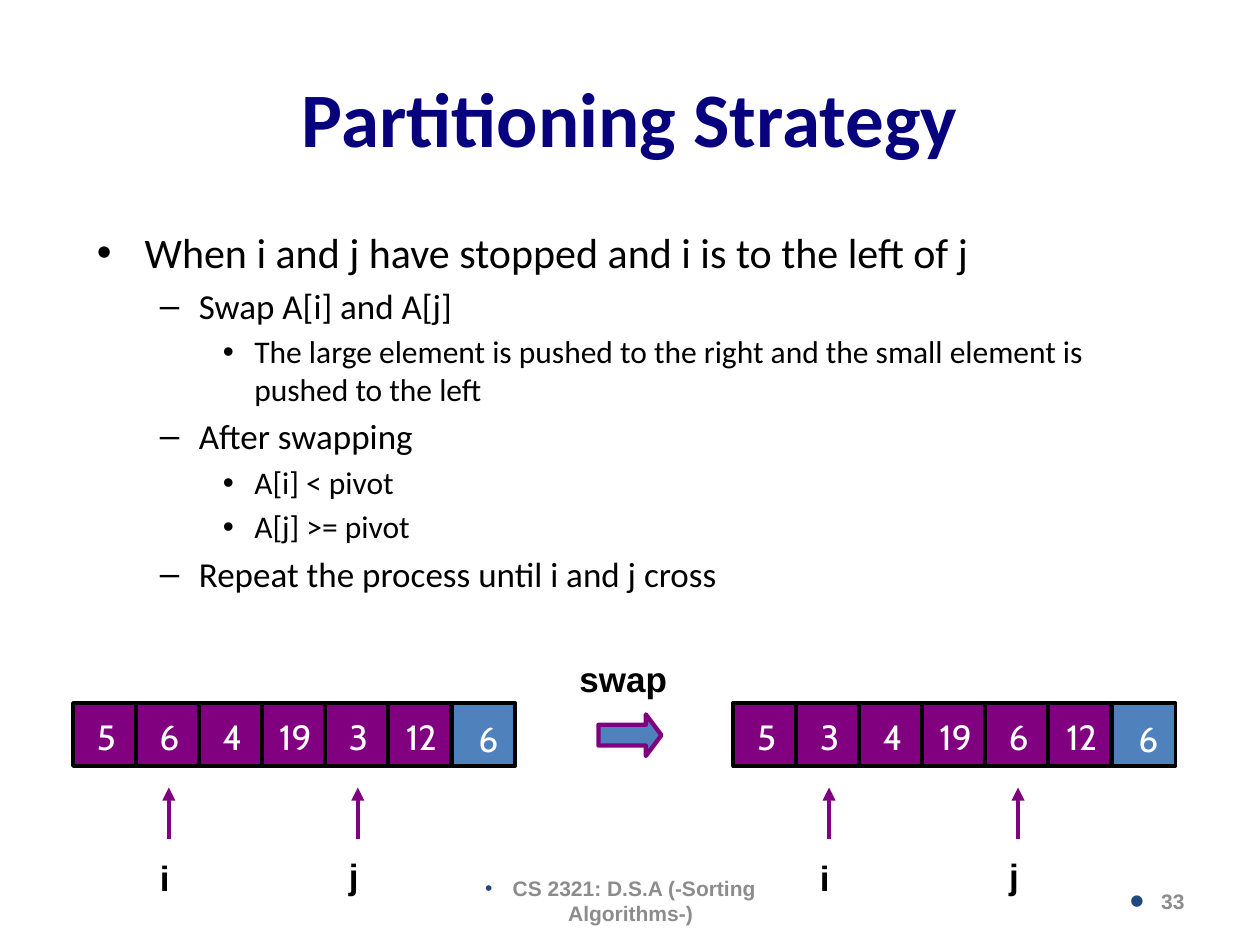
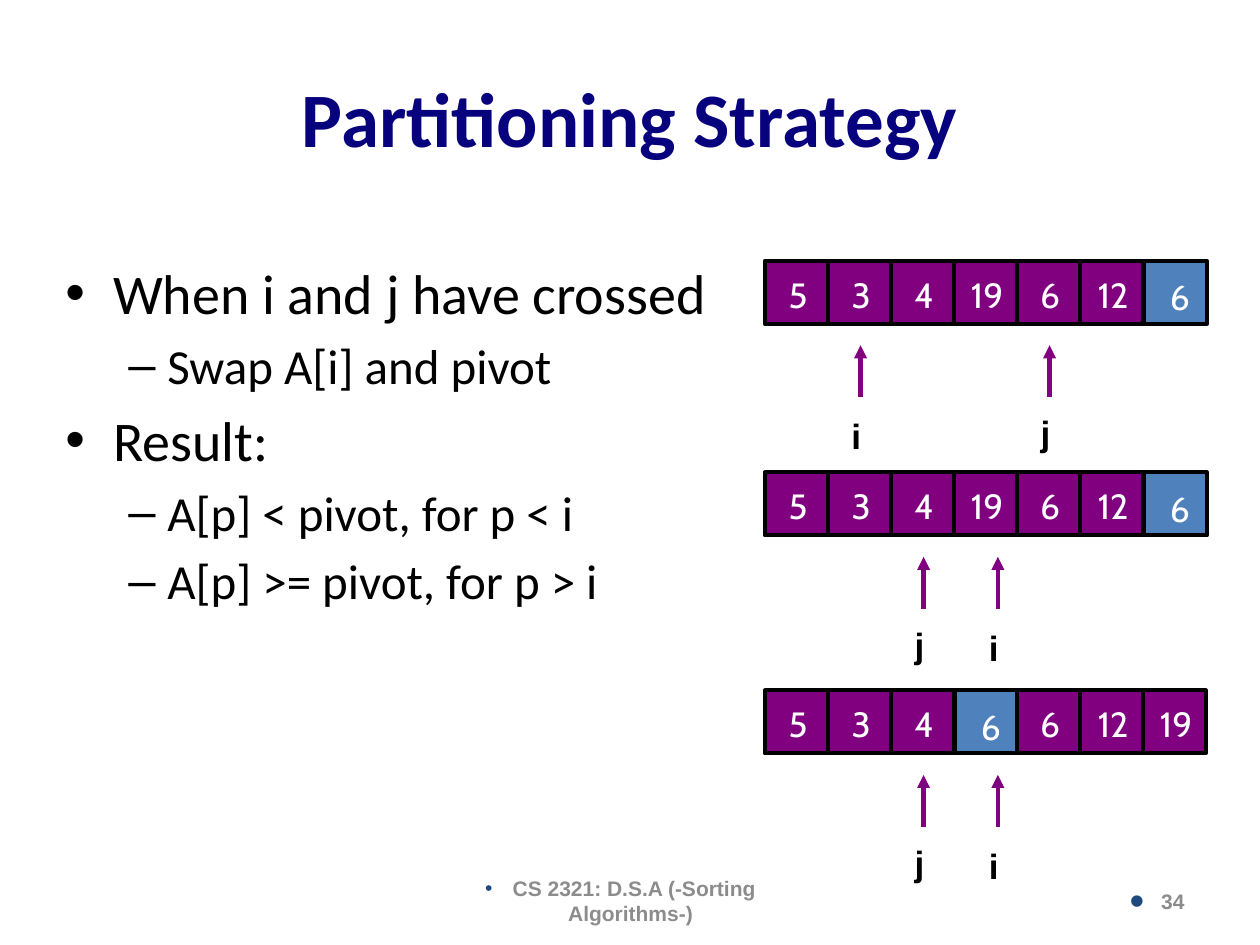
from lxml import etree
from pptx import Presentation
from pptx.dml.color import RGBColor
from pptx.enum import shapes, text
from pptx.oxml import ns
from pptx.util import Inches, Pt

NAVY = RGBColor(0x07, 0x01, 0x7D)
PURPLE = RGBColor(0x80, 0x00, 0x80)
BLUE = RGBColor(0x4F, 0x81, 0xBD)
BULLET_BLUE = RGBColor(0x1F, 0x49, 0x7D)
GREY = RGBColor(0x8C, 0x8C, 0x8C)
BLACK = RGBColor(0, 0, 0)
WHITE = RGBColor(0xFF, 0xFF, 0xFF)

TITLE = "Partitioning Strategy"
FOOTER = "CS 2321: D.S.A (-Sorting Algorithms-)"
CELL = 0.5

# bullets: (level, text); rows: left, top, values, pivot index, pointer -> cell position
SLIDES = [
    {
        "number": 33,
        "body": (0.67, 1.75, 8.58, 3.33),
        "sizes": (24, 20, 18),
        "bullets": [
            (0, "When i and j have stopped and i is to the left of j"),
            (1, "Swap A[i] and A[j]"),
            (2, "The large element is pushed to the right and the small element is pushed to the left"),
            (1, "After swapping"),
            (2, "A[i] < pivot"),
            (2, "A[j] >= pivot"),
            (1, "Repeat the process until i and j cross"),
        ],
        "rows": [
            (0.58, 5.58, (5, 6, 4, 19, 3, 12, 6), 6, {"i": 1, "j": 4}),
            (5.82, 5.58, (5, 3, 4, 19, 6, 12, 6), 6, {"i": 1, "j": 4}),
        ],
        "swap": True,
    },
    {
        "number": 34,
        "body": (0.42, 2, 5.33, 4.5),
        "sizes": (32, 28),
        "bullets": [
            (0, "When i and j have crossed"),
            (1, "Swap A[i] and pivot"),
            (0, "Result:"),
            (1, "A[p] < pivot, for p < i"),
            (1, "A[p] >= pivot, for p > i"),
        ],
        "rows": [
            (6.07, 2.07, (5, 3, 4, 19, 6, 12, 6), 6, {"i": 1, "j": 4}),
            (6.07, 3.75, (5, 3, 4, 19, 6, 12, 6), 6, {"i": 3.18, "j": 2}),
            (6.07, 5.48, (5, 3, 4, 6, 6, 12, 19), 3, {"i": 3.18, "j": 2}),
        ],
        "swap": False,
    },
]
LEVELS = [(0.38, -0.38, "•"), (0.81, -0.31, "–"), (1.25, -0.25, "•")]
POINTER_LABELS = {"i": (1.17, 0.33), "j": (1.15, 0.42)}  # drop below row top, width


def write(paragraph, words, size=20, font="Arial", color=BLACK, bold=False,
          align=text.PP_ALIGN.LEFT):
    paragraph.alignment = align
    run = paragraph.add_run()
    run.text = str(words)
    run.font.size, run.font.name, run.font.bold = Pt(size), font, bold
    run.font.color.rgb = color


def add_bullet(paragraph, margin, indent, char, color=None, percent=100):
    props = paragraph._p.get_or_add_pPr()
    props.set("marL", str(Inches(margin)))
    props.set("indent", str(Inches(indent)))
    if color is not None:
        holder = etree.SubElement(props, ns.qn("a:buClr"))
        etree.SubElement(holder, ns.qn("a:srgbClr"), val=str(color))
    etree.SubElement(props, ns.qn("a:buSzPct"), val=str(percent * 1000))
    etree.SubElement(props, ns.qn("a:buFont"), typeface="Arial")
    etree.SubElement(props, ns.qn("a:buChar"), char=char)


def add_box(slide, *place, anchor=text.MSO_ANCHOR.TOP):
    frame = slide.shapes.add_textbox(*map(Inches, place)).text_frame
    frame.word_wrap = True
    frame.vertical_anchor = anchor
    return frame


def add_filled(slide, kind, place, fill, line, width):
    shape = slide.shapes.add_shape(kind, *map(Inches, place))
    shape.shadow.inherit = False
    shape.fill.solid()
    shape.fill.fore_color.rgb = fill
    shape.line.color.rgb = line
    shape.line.width = Pt(width)
    return shape


def add_title(slide):
    title = slide.shapes.title
    title.left, title.top, title.width, title.height = map(Inches, (0.5, 0.3, 9, 1.25))
    title.text_frame.vertical_anchor = text.MSO_ANCHOR.MIDDLE
    write(title.text_frame.paragraphs[0], TITLE, size=44, font="Calibri", color=NAVY,
          bold=True, align=text.PP_ALIGN.CENTER)


def add_body(slide, place, sizes, bullets):
    frame = add_box(slide, *place)
    for index, (level, words) in enumerate(bullets):
        paragraph = frame.add_paragraph() if index else frame.paragraphs[0]
        paragraph.level = level
        add_bullet(paragraph, *LEVELS[level])
        if index:
            paragraph.space_before = Pt(sizes[level] * 0.2)
        write(paragraph, words, size=sizes[level], font="Calibri")


def add_cell(slide, left, top, value, is_pivot):
    """Draw one array cell; the pivot is blue and its value sits lower and to the right."""
    cell = add_filled(slide, shapes.MSO_SHAPE.RECTANGLE, (left, top, CELL, CELL),
                      BLUE if is_pivot else PURPLE, BLACK, 2.25)
    frame = cell.text_frame
    frame.word_wrap = False
    frame.vertical_anchor = text.MSO_ANCHOR.MIDDLE
    frame.margin_left = frame.margin_top = Inches(0.07 if is_pivot else 0.03)
    frame.margin_right = frame.margin_bottom = 0
    write(frame.paragraphs[0], value, font="Cabin", color=WHITE, align=text.PP_ALIGN.CENTER)


def add_pointer(slide, x, row_top, name):
    arrow = slide.shapes.add_connector(
        shapes.MSO_CONNECTOR.STRAIGHT,
        *map(Inches, (x, row_top + 1.08, x, row_top + 0.67)))
    arrow.line.color.rgb = PURPLE
    arrow.line.width = Pt(2.5)
    etree.SubElement(arrow.line._get_or_add_ln(), ns.qn("a:tailEnd"), type="triangle")
    etree.SubElement(arrow._element.spPr, ns.qn("a:effectLst"))
    drop, width = POINTER_LABELS[name]
    label = add_box(slide, x - 0.17, row_top + drop, width, 0.43)
    write(label.paragraphs[0], name, bold=True)


def add_row(slide, left, top, values, pivot, pointers):
    for index, value in enumerate(values):
        is_pivot = index == pivot
        nudge = 0.01 if is_pivot else 0
        add_cell(slide, left + index * CELL + nudge, top, value, is_pivot)
    for name, position in pointers.items():
        add_pointer(slide, left + 0.26 + position * CELL, top, name)


def add_swap(slide):
    arrow = add_filled(slide, shapes.MSO_SHAPE.RIGHT_ARROW, (4.75, 5.67, 0.5, 0.33),
                       BLUE, PURPLE, 2.5)
    arrow.adjustments[0], arrow.adjustments[1] = 0.5, 0.375
    write(add_box(slide, 4.5, 5.17, 1.08, 0.43).paragraphs[0], "swap", bold=True)


def add_footer(slide, number):
    middle = text.MSO_ANCHOR.MIDDLE
    course = add_box(slide, 3.42, 6.95, 3.17, 0.4, anchor=middle).paragraphs[0]
    add_bullet(course, 0, -0.22, "•", BULLET_BLUE)
    write(course, FOOTER, size=12, color=GREY, bold=True, align=text.PP_ALIGN.CENTER)
    page = add_box(slide, 7.17, 6.95, 2.33, 0.4, anchor=middle).paragraphs[0]
    add_bullet(page, 0, -0.25, "•", BULLET_BLUE, percent=200)
    write(page, number, size=12, color=GREY, bold=True, align=text.PP_ALIGN.RIGHT)


def main():
    deck = Presentation()
    deck.slide_width, deck.slide_height = Inches(10), Inches(7.5)
    for content in SLIDES:
        slide = deck.slides.add_slide(deck.slide_layouts[5])
        add_title(slide)
        add_body(slide, content["body"], content["sizes"], content["bullets"])
        for row in content["rows"]:
            add_row(slide, *row)
        if content["swap"]:
            add_swap(slide)
        add_footer(slide, content["number"])
    deck.save("out.pptx")


if __name__ == "__main__":
    main()
